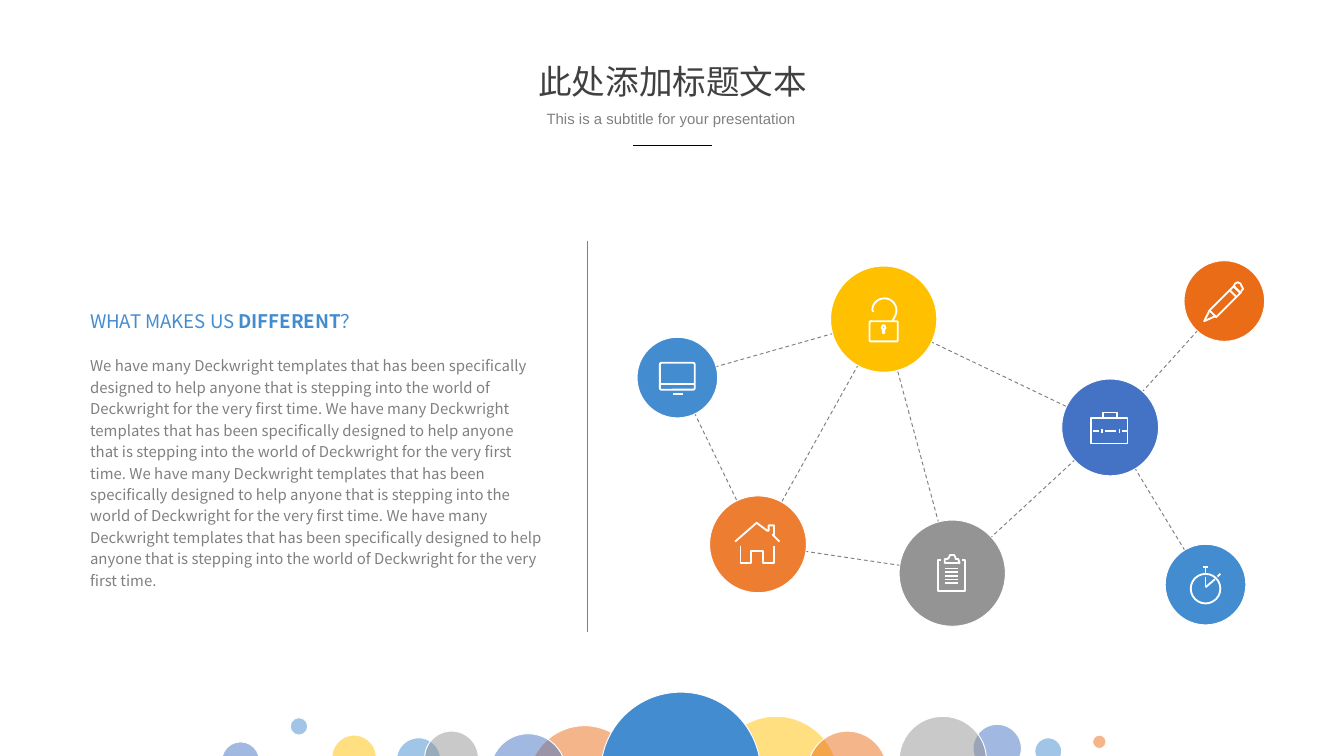
from math import cos, hypot, radians, sin

from lxml import etree
from pptx import Presentation
from pptx.dml.color import RGBColor
from pptx.enum.dml import MSO_LINE
from pptx.enum.shapes import MSO_CONNECTOR, MSO_SHAPE
from pptx.enum.text import MSO_ANCHOR, MSO_AUTO_SIZE, PP_ALIGN
from pptx.oxml.ns import qn
from pptx.util import Inches, Pt

OVAL, RECT, ROUND_RECT = MSO_SHAPE.OVAL, MSO_SHAPE.RECTANGLE, MSO_SHAPE.ROUNDED_RECTANGLE
STRAIGHT, DASH = MSO_CONNECTOR.STRAIGHT, MSO_LINE.DASH
CENTER, LEFT, TOP = PP_ALIGN.CENTER, PP_ALIGN.LEFT, MSO_ANCHOR.TOP
NO_AUTOFIT = MSO_AUTO_SIZE.NONE

THEME = {
    "blue": "438CCF", "navy": "4472C4", "yellow": "FFC000", "orange": "EB6C17",
    "peach": "ED7D31", "gray": "949494", "white": "FFFFFF", "black": "000000",
    "title": "404040", "muted": "808080",
    "title_size": 18, "heading_size": 10, "body_size": 8,
    "font": "Noto Sans CJK SC", "subtitle_font": "Arial",
    "thin": 0.5, "icon": 1,
}

TITLE = "此处添加标题文本"
SUBTITLE = "This is a subtitle for your presentation"
HEADING = [("WHAT MAKES US", False), (" DIFFERENT", True), ("？", False)]
SENTENCE = ("We have many Deckwright templates that has been specifically designed to help "
            "anyone that is stepping into the world of Deckwright for the very first time.")
BODY = " ".join([SENTENCE] * 4)

# left, top, diameter, colour, opacity in percent
BUBBLES = [
    (5.31, 5.33, 0.93, "yellow", 50), (6.01, 5.44, 0.59, "orange", 50),
    (7.24, 5.39, 0.36, "navy", 50), (6.69, 5.33, 0.65, "gray", 50),
    (7.7, 5.49, 0.2, "blue", 50), (8.13, 5.47, 0.1, "orange", 50),
    (3.93, 5.4, 0.84, "orange", 50), (3.65, 5.46, 0.56, "navy", 50),
    (2.95, 5.49, 0.33, "blue", 50), (3.16, 5.44, 0.4, "gray", 50),
    (2.47, 5.47, 0.33, "yellow", 50), (2.16, 5.34, 0.13, "blue", 50),
    (4.47, 5.15, 1.19, "blue", 100), (1.65, 5.52, 0.28, "navy", 50),
]

# left, top, diameter, colour
NODES = {
    "lock": (6.18, 1.98, 0.79, "yellow"),
    "clipboard": (6.69, 3.87, 0.79, "gray"),
    "stopwatch": (8.67, 4.05, 0.6, "blue"),
    "house": (5.28, 3.69, 0.72, "peach"),
    "briefcase": (7.9, 2.82, 0.72, "navy"),
    "monitor": (4.74, 2.51, 0.6, "blue"),
    "pencil": (8.81, 1.94, 0.6, "orange"),
}
LINKS = [
    ("monitor", "lock"), ("lock", "house"), ("house", "clipboard"),
    ("clipboard", "lock"), ("lock", "briefcase"), ("briefcase", "pencil"),
    ("briefcase", "clipboard"), ("briefcase", "stopwatch"), ("monitor", "house"),
]
LINK_INSET = 0.06


def arc(cx, cy, radius, start, end, steps=16):
    """Points along a circle, with angles in degrees clockwise from the right."""
    angles = [radians(start + (end - start) * i / steps) for i in range(steps + 1)]
    return [(cx + radius * cos(a), cy + radius * sin(a)) for a in angles]


ICON_BOXES = [
    (ROUND_RECT, 6.47, 2.39, 0.21, 0.15),  # lock body
    (ROUND_RECT, 4.91, 2.7, 0.26, 0.2),    # monitor
    (RECT, 8.12, 3.11, 0.27, 0.19),        # briefcase
    (OVAL, 8.86, 4.27, 0.22, 0.22),        # stopwatch dial
]
# Two points make a line, more make an outline, closed where the ends meet
ICON_STROKES = {
    "lock": [
        [(6.64, 2.39), *arc(6.58, 2.31, 0.09, 27, -180), (6.5, 2.32)],
        [(6.58, 2.45), (6.58, 2.48), (6.57, 2.48), (6.57, 2.45), (6.56, 2.44),
         (6.57, 2.42), (6.58, 2.42), (6.59, 2.44), (6.58, 2.45)],
    ],
    "house": [
        [(5.8, 4.03), (5.75, 3.98), (5.76, 3.98), (5.76, 3.91), (5.72, 3.91),
         (5.72, 3.95), (5.71, 3.95), (5.63, 3.89), (5.47, 4.03)],
        [(5.51, 4.06), (5.51, 4.19), (5.59, 4.19), (5.59, 4.1), (5.68, 4.1),
         (5.68, 4.19), (5.76, 4.19), (5.76, 4.06)],
    ],
    "monitor": [[(5.01, 2.93), (5.08, 2.93)], [(4.92, 2.86), (5.17, 2.86)]],
    "clipboard": [
        [(7, 4.17), (6.98, 4.17), (6.98, 4.4), (7.18, 4.4), (7.18, 4.17), (7.16, 4.17)],
        [(7.08, 4.13), (7.07, 4.13), (7.06, 4.15), (7.05, 4.16), (7.03, 4.16),
         (7.03, 4.19), (7.14, 4.19), (7.13, 4.16), (7.11, 4.16), (7.11, 4.15),
         (7.1, 4.13), (7.08, 4.13)],
        *[[(7.03, 4.23 + 0.11 * row / 4), (7.13, 4.23 + 0.11 * row / 4)] for row in range(5)],
    ],
    "briefcase": [
        [(8.3, 3.21), (8.22, 3.21)], [(8.18, 3.21), (8.13, 3.21)],
        [(8.39, 3.21), (8.35, 3.21)], [(8.33, 3.19), (8.33, 3.22)],
        [(8.2, 3.19), (8.2, 3.22)],
        [(8.31, 3.11), (8.31, 3.07), (8.21, 3.07), (8.21, 3.11)],
    ],
    "pencil": [
        [(9.18, 2.13), (9, 2.31), (9.05, 2.36), (9.23, 2.18), (9.18, 2.13)],
        [(9.23, 2.11), (9.21, 2.1), (9.19, 2.11), (9.18, 2.13), (9.2, 2.15),
         (9.23, 2.18), (9.24, 2.16), (9.25, 2.15), (9.24, 2.13), (9.23, 2.11)],
        [(9.15, 2.16), (9.2, 2.21)],
        [(9, 2.31), (8.96, 2.39), (9.05, 2.35)],
    ],
    "stopwatch": [
        [(8.97, 4.37), (8.97, 4.29)], [(8.97, 4.23), (8.97, 4.26)],
        [(8.95, 4.22), (8.99, 4.22)], [(8.97, 4.37), (9.04, 4.31)],
        [(9.06, 4.29), (9.08, 4.27)],
    ],
}


def color(name):
    return RGBColor.from_string(THEME[name])


def style(shape, line_color, weight, fill=None, opacity=100):
    shape.shadow.inherit = False
    shape.line.color.rgb = color(line_color)
    shape.line.width = Pt(weight)
    if fill is None:
        shape.fill.background()
        return
    shape.fill.solid()
    shape.fill.fore_color.rgb = color(fill)
    if opacity < 100:
        swatch = shape.element.spPr.find(qn("a:solidFill")).find(qn("a:srgbClr"))
        etree.SubElement(swatch, qn("a:alpha"), val=str(opacity * 1000))


def add_line(shapes, start, end, line_color, weight, dash=None):
    line = shapes.add_connector(STRAIGHT, *map(Inches, (*start, *end)))
    line.line.color.rgb = color(line_color)
    line.line.width = Pt(weight)
    if dash:
        line.line.dash_style = dash
    etree.SubElement(line.element.spPr, qn("a:effectLst"))


def add_circle(shapes, left, top, size, fill, opacity=100):
    circle = shapes.add_shape(OVAL, *map(Inches, (left, top, size, size)))
    style(circle, "white", THEME["thin"], fill, opacity)


def add_stroke(shapes, points):
    if len(points) == 2:
        add_line(shapes, *points, "white", THEME["icon"])
        return
    corners = [(Inches(x), Inches(y)) for x, y in points]
    builder = shapes.build_freeform(*corners[0])
    builder.add_line_segments(corners[1:], close=points[0] == points[-1])
    style(builder.convert_to_shape(), "white", THEME["icon"])


def add_link(shapes, first, second):
    """Joins two nodes, starting and ending just inside their rims."""
    (x1, y1, r1), (x2, y2, r2) = [
        (left + size / 2, top + size / 2, size / 2 - LINK_INSET)
        for left, top, size, _ in (NODES[first], NODES[second])]
    length = hypot(x2 - x1, y2 - y1)
    ux, uy = (x2 - x1) / length, (y2 - y1) / length
    add_line(shapes, (x1 + r1 * ux, y1 + r1 * uy), (x2 - r2 * ux, y2 - r2 * uy),
             "muted", THEME["thin"], DASH)


def place_text(box, left, top, width, height):
    box.left, box.top, box.width, box.height = map(Inches, (left, top, width, height))
    frame = box.text_frame
    frame.word_wrap = True
    frame.auto_size = NO_AUTOFIT
    frame.vertical_anchor = TOP
    return frame


def format_paragraph(paragraph, size, text_color, font="font", align=LEFT):
    paragraph.alignment = align
    for run in paragraph.runs:
        run.font.size = Pt(THEME[size])
        run.font.color.rgb = color(text_color)
        run.font.name = THEME[font]
        etree.SubElement(run.font._element, qn("a:ea"), typeface=THEME[font])


def main():
    deck = Presentation()
    deck.slide_width = Inches(10)
    deck.slide_height = deck.slide_width * 9 // 16
    slide = deck.slides.add_slide(deck.slide_layouts[5])
    shapes = slide.shapes

    for bubble in BUBBLES:
        add_circle(shapes, *bubble)

    title = place_text(shapes.title, 3.35, 0.4, 3.31, 0.4)
    title.text = TITLE
    format_paragraph(title.paragraphs[0], "title_size", "title", align=CENTER)
    subtitle = place_text(shapes.add_textbox(0, 0, 0, 0), 3.93, 0.77, 2.13, 0.24)
    subtitle.text = SUBTITLE
    format_paragraph(subtitle.paragraphs[0], "body_size", "muted", "subtitle_font", CENTER)
    add_line(shapes, (4.71, 1.08), (5.3, 1.08), "black", THEME["thin"])

    story = place_text(shapes.add_textbox(0, 0, 0, 0), 0.67, 2.27, 3.39, 1.98)
    story.margin_left = story.margin_right = story.margin_top = story.margin_bottom = 0
    heading, body = story.paragraphs[0], story.add_paragraph()
    for words, bold in HEADING:
        run = heading.add_run()
        run.text = words
        run.font.bold = bold
    body.text = BODY
    heading.line_spacing = body.line_spacing = 1.2
    heading.space_after = Pt(11.5)
    format_paragraph(heading, "heading_size", "blue")
    format_paragraph(body, "body_size", "muted")
    add_line(shapes, (4.37, 1.79), (4.37, 4.7), "muted", THEME["thin"])

    for link in LINKS:
        add_link(shapes, *link)
    for node in NODES.values():
        add_circle(shapes, *node)
    for kind, *place in ICON_BOXES:
        box = shapes.add_shape(kind, *map(Inches, place))
        style(box, "white", THEME["icon"])
        if kind == ROUND_RECT:
            box.adjustments[0] = 0.06
    for strokes in ICON_STROKES.values():
        for points in strokes:
            add_stroke(shapes, points)

    deck.save("out.pptx")


if __name__ == "__main__":
    main()
